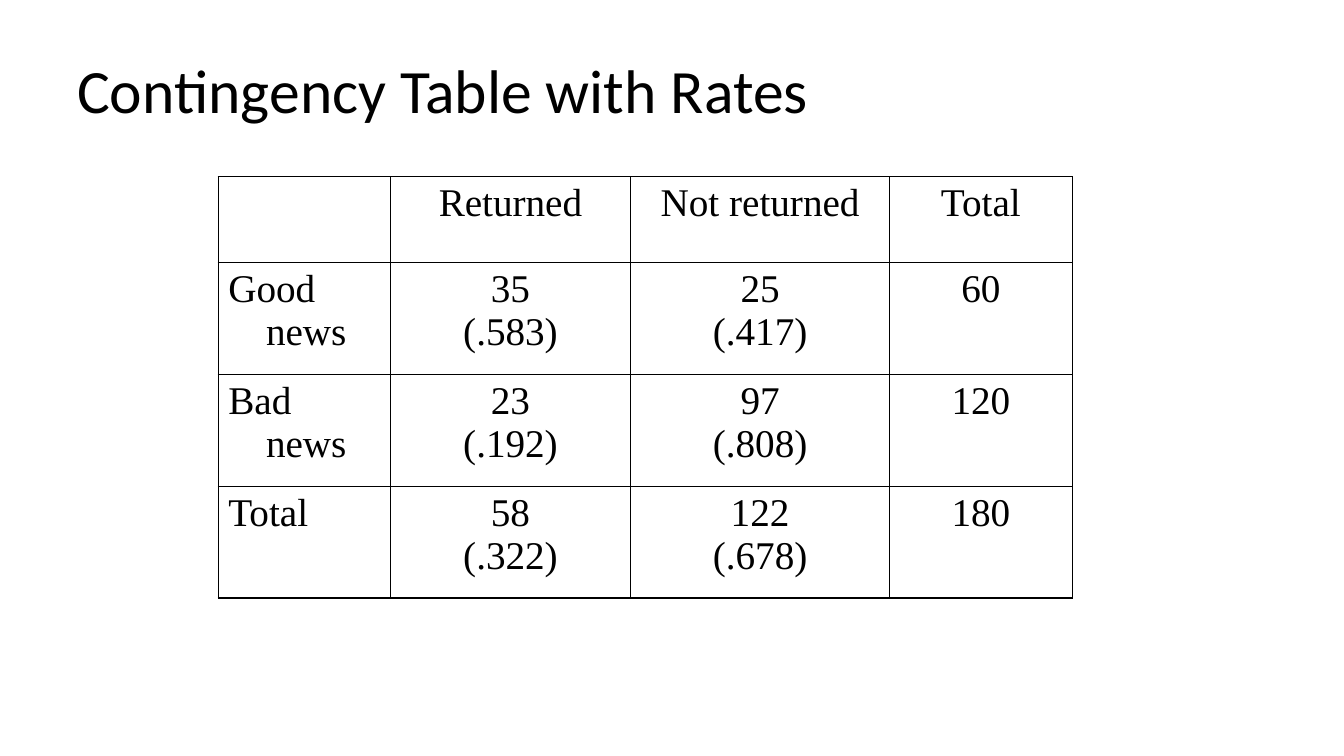
from lxml.etree import SubElement
from pptx import Presentation
from pptx.dml.color import RGBColor
from pptx.enum.text import MSO_ANCHOR, PP_ALIGN
from pptx.oxml.ns import qn
from pptx.util import Cm, Pt

COLOURS = {"ink": "000000", "paper": "FFFFFF"}
COLUMN_WIDTHS = (4.34, 6.05, 6.53, 4.6)
ROW_HEIGHTS = (2.16, 2.82, 2.82, 2.82)
RATE_ROWS = (
    ("", "Returned", "Not returned", "Total"),
    ("Good news", "35\n(.583)", "25\n(.417)", "60"),
    ("Bad news", "23\n(.192)", "97\n(.808)", "120"),
    ("Total", "58\n(.322)", "122\n(.678)", "180"),
)


def add_span(para, text, font, size):
    span = para.add_run()
    span.text = text
    span.font.name = font
    span.font.size = Pt(size)
    span.font.color.rgb = RGBColor.from_string(COLOURS["ink"])


def place_title(page, text, left, top, width, height):
    title = page.shapes.title
    title.left, title.top = Cm(left), Cm(top)
    title.width, title.height = Cm(width), Cm(height)
    frame = title.text_frame
    frame.word_wrap = True
    frame.vertical_anchor = MSO_ANCHOR.MIDDLE
    para = frame.paragraphs[0]
    para.alignment = PP_ALIGN.LEFT
    para.line_spacing = 0.9
    add_span(para, text, "Calibri", 44)


def style_cell(cell):
    """Give the cell thin borders on all sides and a plain fill."""
    properties = cell._tc.get_or_add_tcPr()
    for side in ("a:lnL", "a:lnR", "a:lnT", "a:lnB"):
        line = SubElement(properties, qn(side), w=str(Pt(1)))
        fill = SubElement(line, qn("a:solidFill"))
        SubElement(fill, qn("a:srgbClr"), val=COLOURS["ink"])
    cell.fill.solid()
    cell.fill.fore_color.rgb = RGBColor.from_string(COLOURS["paper"])


def fill_cell(cell, text, alignment):
    frame = cell.text_frame
    for index, line in enumerate(text.split("\n")):
        para = frame.add_paragraph() if index else frame.paragraphs[0]
        para.alignment = alignment
        hanging = para._p.get_or_add_pPr()
        hanging.set("marL", str(Cm(0.95)))
        hanging.set("indent", str(Cm(-0.95)))
        if line:
            add_span(para, line, "Times New Roman", 28)


def add_rate_table(page, left, top):
    table = page.shapes.add_table(
        len(ROW_HEIGHTS), len(COLUMN_WIDTHS), Cm(left), Cm(top),
        Cm(sum(COLUMN_WIDTHS)), Cm(sum(ROW_HEIGHTS))).table
    table.first_row = table.horz_banding = False
    for column, width in zip(table.columns, COLUMN_WIDTHS):
        column.width = Cm(width)
    for row, height, texts in zip(table.rows, ROW_HEIGHTS, RATE_ROWS):
        row.height = Cm(height)
        for index, (cell, text) in enumerate(zip(row.cells, texts)):
            style_cell(cell)
            fill_cell(cell, text, PP_ALIGN.CENTER if index else PP_ALIGN.LEFT)


def main():
    deck = Presentation()
    deck.slide_width, deck.slide_height = Cm(33.87), Cm(19.05)
    page = deck.slides.add_slide(deck.slide_layouts.get_by_name("Title Only"))
    place_title(page, "Contingency Table with Rates", 1.69, 0.76, 30.48, 3.18)
    add_rate_table(page, 5.5, 4.45)
    deck.save("out.pptx")


if __name__ == "__main__":
    main()
